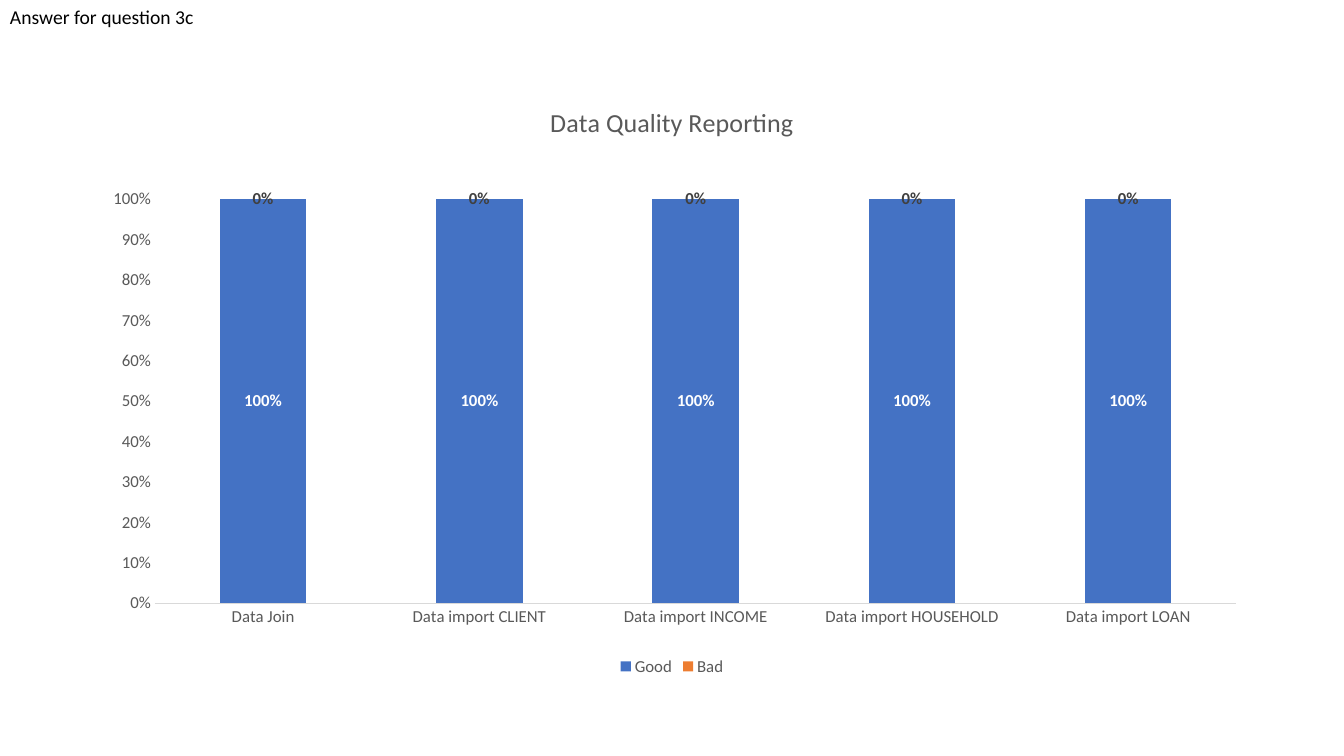
from dataclasses import dataclass

from lxml.etree import SubElement
from pptx import Presentation
from pptx.chart.chart import Chart
from pptx.chart.data import CategoryChartData
from pptx.dml.color import RGBColor
from pptx.enum.chart import XL_CHART_TYPE, XL_LEGEND_POSITION, XL_TICK_MARK
from pptx.oxml.ns import qn
from pptx.slide import Slide
from pptx.text.text import Font
from pptx.util import Pt

COLORS = {
    "black": "000000",
    "text": "595959",
    "axis": "D9D9D9",
    "good": "4472C4",
    "bad": "ED7D31",
    "good_label": "FFFFFF",
    "bad_label": "404040",
}
STEPS = ["Data Join"] + [
    f"Data import {name}" for name in ("CLIENT", "INCOME", "HOUSEHOLD", "LOAN")
]
PLOT_LAYOUT = {
    "layoutTarget": "inner",
    "xMode": "edge",
    "yMode": "edge",
    "x": "0.054",
    "y": "0.196",
    "w": "0.933",
    "h": "0.675",
}


@dataclass(frozen=True)
class Quality:
    name: str
    share: float
    fill: str
    label: str


QUALITIES = (
    Quality("Good", 1, "good", "good_label"),
    Quality("Bad", 0, "bad", "bad_label"),
)


def rgb(color: str) -> RGBColor:
    return RGBColor.from_string(COLORS[color])


def style_font(font: Font, size: float, color: str, bold: bool = False) -> None:
    font.name = "Calibri"
    font.size = Pt(size)
    font.bold = bold
    font.color.rgb = rgb(color)


def place_plot(chart: Chart) -> None:
    plot_area = chart.element.find(f".//{qn('c:plotArea')}")
    for layout in plot_area.findall(qn("c:layout")):
        plot_area.remove(layout)
    layout = SubElement(plot_area, qn("c:layout"))
    plot_area.insert(0, layout)
    manual = SubElement(layout, qn("c:manualLayout"))
    for tag, setting in PLOT_LAYOUT.items():
        SubElement(manual, qn(f"c:{tag}")).set("val", setting)


def style_axes(chart: Chart) -> None:
    for axis in (chart.category_axis, chart.value_axis):
        axis.major_tick_mark = axis.minor_tick_mark = XL_TICK_MARK.NONE
        axis.has_major_gridlines = False
        style_font(axis.tick_labels.font, 12, "text")
    step_line = chart.category_axis.format.line
    step_line.color.rgb = rgb("axis")
    step_line.width = Pt(0.75)
    shares = chart.value_axis
    shares.format.line.fill.background()
    shares.minimum_scale = 0
    shares.tick_labels.number_format = "0%"
    shares.tick_labels.number_format_is_linked = False


def style_qualities(chart: Chart) -> None:
    plot = chart.plots[0]
    plot.gap_width = 150
    plot.overlap = 100
    plot.vary_by_categories = False
    for quality, series in zip(QUALITIES, plot.series):
        series.format.fill.solid()
        series.format.fill.fore_color.rgb = rgb(quality.fill)
        labels = series.data_labels
        labels.show_value = True
        labels.number_format = "0%"
        labels.number_format_is_linked = False
        style_font(labels.font, 12, quality.label, bold=True)


def add_quality_chart(slide: Slide) -> None:
    report = CategoryChartData(number_format="0%")
    report.categories = STEPS
    for quality in QUALITIES:
        report.add_series(quality.name, [quality.share] * len(STEPS))
    chart = slide.shapes.add_chart(
        XL_CHART_TYPE.COLUMN_STACKED_100,
        Pt(66), Pt(58.5), Pt(828), Pt(427.5), report,
    ).chart
    style_font(chart.font, 10, "black")

    chart.has_title = True
    chart.chart_title.include_in_layout = False
    heading = chart.chart_title.text_frame
    heading.text = "Data Quality Reporting"
    style_font(heading.paragraphs[0].font, 18.6, "text")

    chart.has_legend = True
    chart.legend.position = XL_LEGEND_POSITION.BOTTOM
    chart.legend.include_in_layout = False
    style_font(chart.legend.font, 12, "text")

    style_axes(chart)
    style_qualities(chart)
    place_plot(chart)


def add_answer_note(slide: Slide) -> None:
    answer = slide.shapes.add_textbox(0, 0, Pt(145.5), Pt(24.5)).text_frame
    answer.word_wrap = False
    answer.text = "Answer for question 3c"
    style_font(answer.paragraphs[0].font, 14, "black")


def main() -> None:
    deck = Presentation()
    deck.slide_width, deck.slide_height = Pt(960), Pt(540)
    slide = deck.slides.add_slide(deck.slide_layouts[6])
    add_quality_chart(slide)
    add_answer_note(slide)
    deck.save("out.pptx")


if __name__ == "__main__":
    main()
